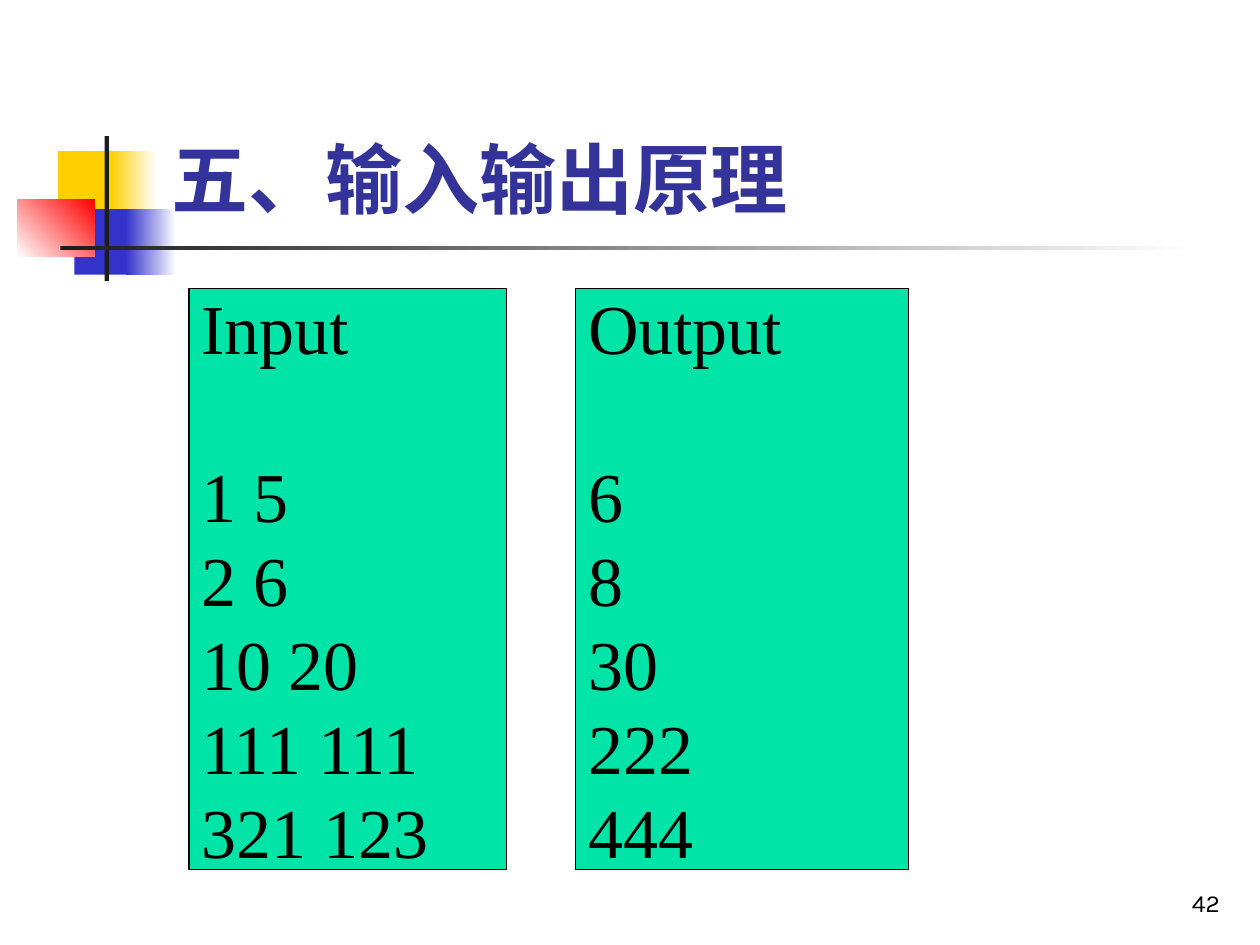
"""Builds the slide on input and output principles with its two sample data panels."""
from pptx import Presentation
from pptx.dml.color import RGBColor
from pptx.enum.shapes import MSO_SHAPE as Preset
from pptx.enum.text import MSO_ANCHOR as Anchor, PP_ALIGN as Align
from pptx.util import Inches, Pt

COLORS = {
    "yellow": "FFCF01", "blue": "3333CC", "red": "FF0000", "white": "FFFFFF",
    "dark": "1C1C1C", "title": "333399", "panel": "00E4A8", "black": "000000",
}
WIDTH, HEIGHT = Inches(10), Inches(7.5)
LINE_PITCH = 48

TITLE = "五、输入输出原理"
PAGE_NUMBER = "42"
PANELS = [
    ((15, 25.2), "Input", ["1 5", "2 6", "10 20", "111 111", "321 123"]),
    ((45.7, 26.4), "Output", ["6", "8", "30", "222", "444"]),
]
PANEL_TOP, PANEL_HEIGHT = 30.53, 61.47
ORNAMENTS = [
    ((4.6, 16, 4.8, 6.93), ["yellow"], 0),
    ((8.8, 16, 3.6, 6.93), ["yellow", "white"], 0),
    ((5.9, 22.13, 4.6, 6.93), ["blue"], 0),
    ((10, 22.13, 4, 6.93), ["blue", "white"], 0),
    ((1.4, 21.07, 6.1, 6.13), ["white", "red"], 45),
    ((8.3, 14.4, 0.35, 15.33), ["dark"], 0),
    ((4.8, 26, 90, 0.5), ["dark", "white"], 0),
]


def rgb(name):
    return RGBColor.from_string(COLORS[name])


def place(percents):
    return [int(side * share / 100)
            for side, share in zip((WIDTH, HEIGHT) * 2, percents)]


def add_block(slide, percents, tones, angle=0):
    block = slide.shapes.add_shape(Preset.RECTANGLE, *place(percents))
    block.shadow.inherit = False
    block.line.fill.background()
    if len(tones) == 1:
        block.fill.solid()
        block.fill.fore_color.rgb = rgb(tones[0])
    else:
        block.fill.gradient()
        block.fill.gradient_angle = angle
        for stop, tone, position in zip(block.fill.gradient_stops, tones, (0, 1)):
            stop.color.rgb = rgb(tone)
            stop.position = position
    return block


def write(paragraph, text, size, face, color, align=Align.LEFT, bold=False):
    paragraph.text = text
    paragraph.alignment = align
    font = paragraph.font
    font.size, font.name, font.bold = Pt(size), face, bold
    font.color.rgb = rgb(color)


def add_label(slide, percents, text, *style):
    frame = slide.shapes.add_textbox(*place(percents)).text_frame
    frame.word_wrap = True
    frame.vertical_anchor = Anchor.BOTTOM
    write(frame.paragraphs[0], text, *style)


def add_panel(slide, left, width, heading, rows):
    panel = add_block(slide, (left, PANEL_TOP, width, PANEL_HEIGHT), ["panel"])
    panel.line.color.rgb = rgb("black")
    panel.line.width = Pt(0.75)
    frame = panel.text_frame
    frame.word_wrap = False
    frame.vertical_anchor = Anchor.MIDDLE
    frame.margin_top = frame.margin_bottom = 0
    for index, text in enumerate([heading, *rows]):
        paragraph = frame.add_paragraph() if index else frame.paragraphs[0]
        write(paragraph, text, 40, "Times New Roman", "black")
        paragraph.line_spacing = Pt(LINE_PITCH)
        paragraph.space_before = Pt(LINE_PITCH if index == 1 else 0)


def main():
    deck = Presentation()
    deck.slide_width, deck.slide_height = WIDTH, HEIGHT
    slide = deck.slides.add_slide(deck.slide_layouts[6])
    for ornament in ORNAMENTS:
        add_block(slide, *ornament)
    add_label(slide, (77, 91.07, 20.8, 6.67), PAGE_NUMBER,
              14, "Karla", "black", Align.RIGHT)
    add_label(slide, (12.6, 3.07, 85.2, 21.33), TITLE,
              44, "Karla", "title", Align.LEFT, True)
    for span, heading, rows in PANELS:
        add_panel(slide, *span, heading, rows)
    deck.save("out.pptx")


if __name__ == "__main__":
    main()
